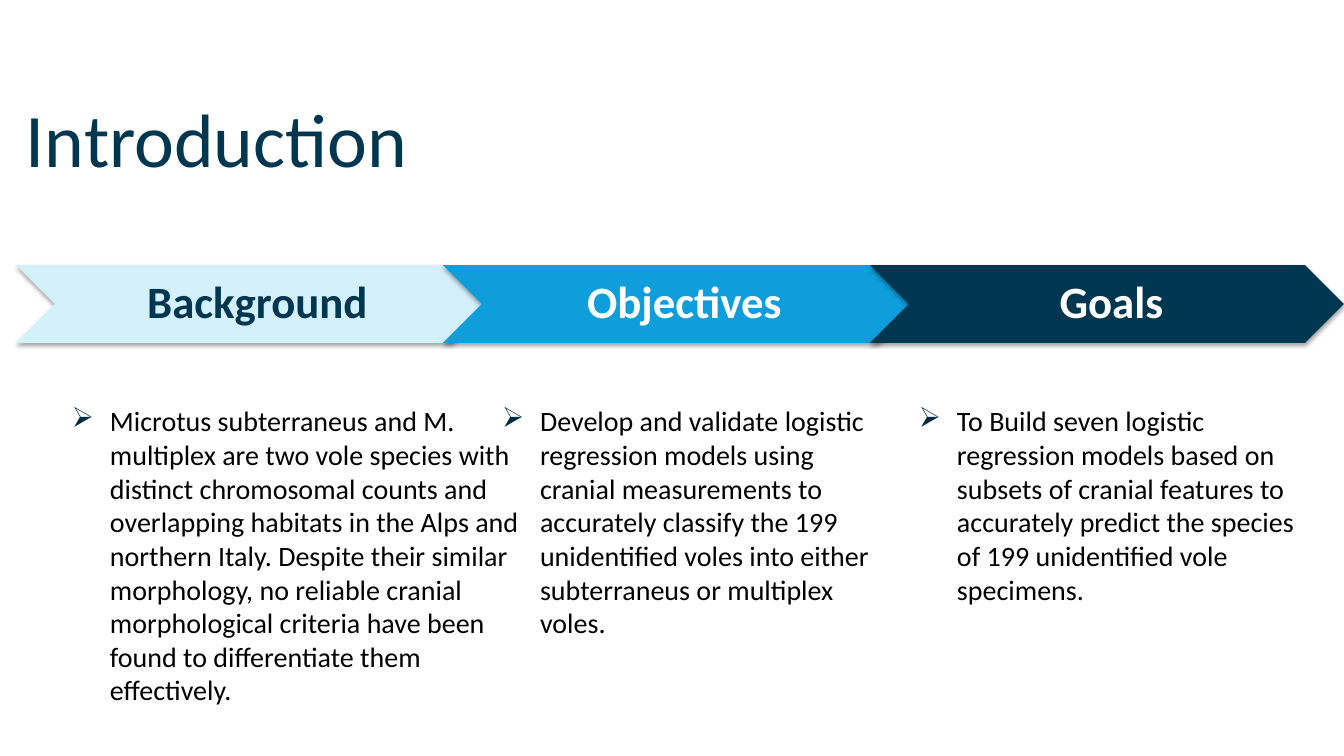
from lxml import etree
from pptx import Presentation
from pptx.dml.color import RGBColor
from pptx.enum.shapes import MSO_SHAPE as SHAPE
from pptx.enum.text import MSO_ANCHOR as ANCHOR, PP_ALIGN as ALIGN
from pptx.oxml import parse_xml
from pptx.oxml.ns import nsdecls
from pptx.util import Pt

PX = 914400 / 100.8
NAVY, BLUE, PALE, WHITE, BLACK = "003750", "0E9EDB", "D4F0FB", "FFFFFF", "000000"
BULLET_COLOR = "002C43"
SHADOW = f"""<a:outerShdw {nsdecls('a')} blurRad="{Pt(3.1)}" dist="{Pt(1.8)}" dir="5400000"
  algn="t" rotWithShape="0"><a:srgbClr val="000000"><a:alpha val="35000"/></a:srgbClr></a:outerShdw>"""
# In Wingdings, Ø is the three-dimensional arrowhead
BULLET = (
    f'<a:buClr {nsdecls("a")}><a:srgbClr val="{BULLET_COLOR}"/></a:buClr>',
    f'<a:buFont {nsdecls("a")} typeface="Wingdings" pitchFamily="2" charset="2"/>',
    f'<a:buChar {nsdecls("a")} char="Ø"/>',
)


def px(*lengths):
    return [round(length * PX) for length in lengths]


def add_text(box, text, size, color, anchor=ANCHOR.TOP, margins=(10, 5, 10, 5), bulleted=False):
    """Add a wrapped text box with one paragraph and return that paragraph."""
    frame = slide.shapes.add_textbox(*px(*box)).text_frame
    frame.word_wrap = True
    frame.vertical_anchor = anchor
    frame.margin_left, frame.margin_top, frame.margin_right, frame.margin_bottom = px(*margins)
    paragraph = frame.paragraphs[0]
    paragraph.text = text
    if bulleted:
        properties = paragraph._p.get_or_add_pPr()
        left, hanging = px(63, -38)
        properties.set("marL", str(left))
        properties.set("indent", str(hanging))
        for element in BULLET:
            properties.append(parse_xml(element))
    paragraph.font.size = Pt(size)
    paragraph.font.name = "Calibri"
    paragraph.font.color.rgb = RGBColor.from_string(color)
    return paragraph


deck = Presentation()
deck.slide_width, deck.slide_height = px(1344, 756)
slide = deck.slides.add_slide(deck.slide_layouts[6])

title = add_text((16, 77, 1008, 112), "Introduction", 54, NAVY, ANCHOR.BOTTOM)
title.line_spacing = 0.9

# Chevron band: three overlapping steps
STEP_LEFT, STEP_TOP, STEP_PITCH, STEP_WIDTH, STEP_HEIGHT = 16, 265, 427, 474, 78
steps = [("Background", PALE, NAVY), ("Objectives", BLUE, WHITE), ("Goals", NAVY, WHITE)]
for index, (name, fill, color) in enumerate(steps):
    left = STEP_LEFT + index * STEP_PITCH
    chevron = slide.shapes.add_shape(SHAPE.CHEVRON, *px(left, STEP_TOP, STEP_WIDTH, STEP_HEIGHT))
    chevron.fill.solid()
    chevron.fill.fore_color.rgb = RGBColor.from_string(fill)
    chevron.line.fill.background()
    chevron.shadow.inherit = False
    effects = chevron._element.spPr.find("{*}effectLst")
    effects.append(etree.fromstring(SHADOW))

    label_box = (left + STEP_HEIGHT // 2, STEP_TOP, STEP_WIDTH - STEP_HEIGHT, STEP_HEIGHT)
    label = add_text(label_box, name, 32, color, ANCHOR.MIDDLE, (14, 5, 5, 5))
    label.font.bold = True
    label.alignment = ALIGN.CENTER
    label.line_spacing = 0.9

# Explanation under each step
DETAIL_TOP = 399
details = [
    (37, 496, 327, "Microtus subterraneus and M. multiplex are two vole species with distinct "
     "chromosomal counts and overlapping habitats in the Alps and northern Italy. Despite their "
     "similar morphology, no reliable cranial morphological criteria have been found to "
     "differentiate them effectively."),
    (467, 426, 280, "Develop and validate logistic regression models using cranial measurements "
     "to accurately classify the 199 unidentified voles into either subterraneus or multiplex "
     "voles."),
    (884, 426, 280, "To Build seven logistic regression models based on subsets of cranial "
     "features to accurately predict the species of 199 unidentified vole specimens."),
]
for left, width, height, text in details:
    add_text((left, DETAIL_TOP, width, height), text, 20, BLACK, bulleted=True)

deck.save("out.pptx")
